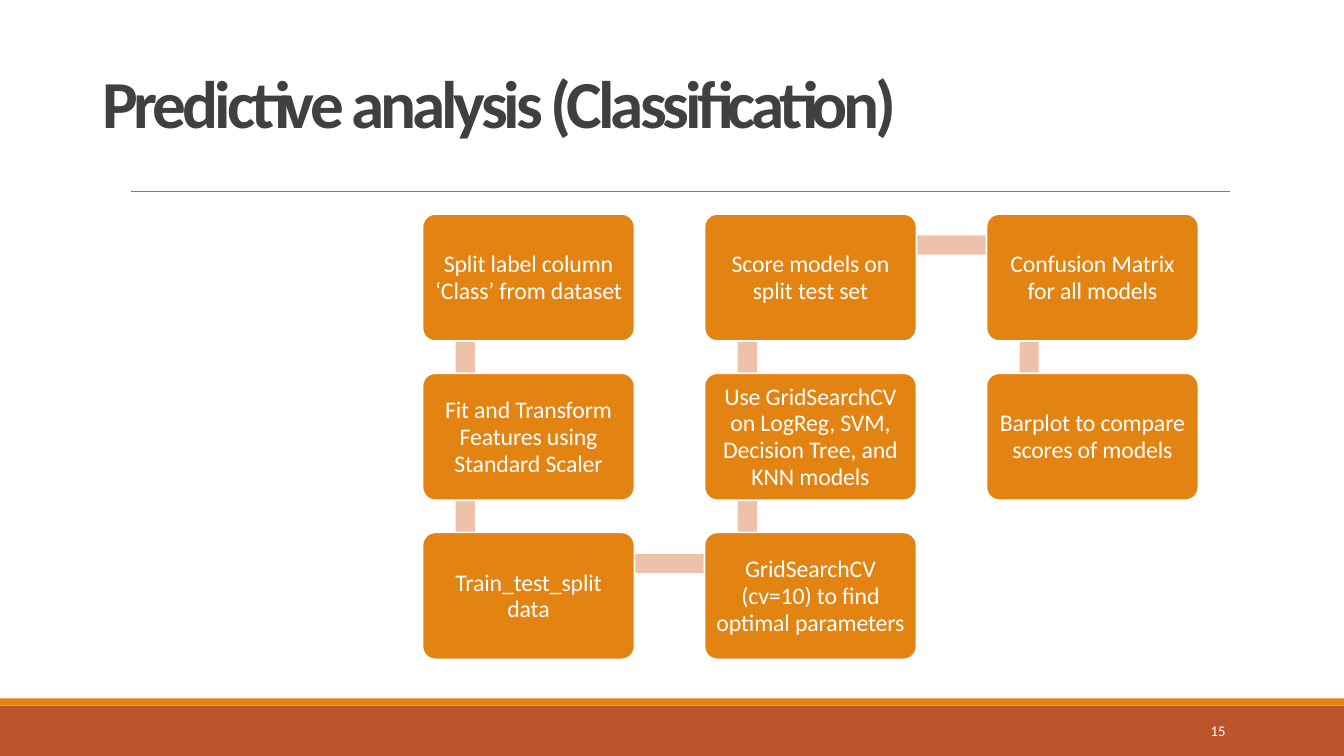
from dataclasses import dataclass

import lxml.etree
import pptx
import pptx.dml.color
import pptx.enum.shapes
import pptx.enum.text
import pptx.oxml.ns
import pptx.util

Pt = pptx.util.Pt
MSO_SHAPE = pptx.enum.shapes.MSO_SHAPE
ANCHOR = pptx.enum.text.MSO_ANCHOR
ALIGN = pptx.enum.text.PP_ALIGN

FONT = "Calibri"
WHITE, ORANGE, RUST, PEACH = "FFFFFF", "E28312", "BB562C", "EDC1AA"
DARK, GREY = "404040", "7D7D7D"

# Slide and grid measures in points
SLIDE_W, SLIDE_H = 960, 540
GRID_LEFT, GRID_TOP = 301.8, 152.9
COL_PITCH, ROW_PITCH = 201.4, 113.7
BOX_W, BOX_H = 151.4, 90.7
BAR = 13.7


@dataclass
class Step:
    col: int
    row: int
    text: str

    @property
    def left(self) -> float:
        return GRID_LEFT + self.col * COL_PITCH

    @property
    def top(self) -> float:
        return GRID_TOP + self.row * ROW_PITCH


# The flow snakes down, up and down again; \v breaks a line
STEPS = [
    Step(0, 0, "Split label column\v‘Class’ from dataset"),
    Step(0, 1, "Fit and Transform\vFeatures using\vStandard Scaler"),
    Step(0, 2, "Train_test_split\vdata"),
    Step(1, 2, "GridSearchCV\v(cv=10) to find\voptimal parameters"),
    Step(1, 1, "Use GridSearchCV\von LogReg, SVM,\vDecision Tree, and\vKNN models"),
    Step(1, 0, "Score models on\vsplit test set"),
    Step(2, 0, "Confusion Matrix\vfor all models"),
    Step(2, 1, "Barplot to compare\vscores of models"),
]


def rgb(color: str) -> pptx.dml.color.RGBColor:
    return pptx.dml.color.RGBColor.from_string(color)


def add_block(s, kind, left: float, top: float, width: float, height: float, color: str):
    sp = s.shapes.add_shape(kind, Pt(left), Pt(top), Pt(width), Pt(height))
    sp.shadow.inherit = False
    sp.fill.solid()
    sp.fill.fore_color.rgb = rgb(color)
    sp.line.fill.background()
    return sp


def set_text(sp, text: str, size: float, color: str, align, anchor,
             spacing: float = 0, leading: float = 0, bold: bool = False) -> None:
    tf = sp.text_frame
    tf.word_wrap = True
    tf.margin_left = tf.margin_right = tf.margin_top = tf.margin_bottom = 0
    tf.vertical_anchor = anchor
    p = tf.paragraphs[0]
    p.text = text
    p.alignment = align
    if leading:
        p.line_spacing = Pt(leading)
    for r in p.runs:
        r.font.name, r.font.size, r.font.bold = FONT, Pt(size), bold
        r.font.color.rgb = rgb(color)
        r.font._element.set("spc", str(round(spacing * 100)))


def add_bar(s, start: Step, end: Step) -> None:
    """Draw the band that links two neighbouring steps."""
    if start.row == end.row:
        add_block(s, MSO_SHAPE.RECTANGLE, start.left + 31, start.top + 15.3,
                  COL_PITCH, BAR, PEACH)
    else:
        add_block(s, MSO_SHAPE.RECTANGLE, start.left + 23.7,
                  min(start.top, end.top) + 22.8, BAR, ROW_PITCH - 1, PEACH)


def add_step(s, step: Step) -> None:
    sp = add_block(s, MSO_SHAPE.ROUNDED_RECTANGLE, step.left, step.top, BOX_W, BOX_H, ORANGE)
    sp.adjustments[0] = 0.1
    sp.line.color.rgb = rgb(WHITE)
    sp.line.width = Pt(1.2)
    set_text(sp, step.text, 17, WHITE, ALIGN.CENTER, ANCHOR.MIDDLE, -0.1, 19.2)


def main() -> None:
    prs = pptx.Presentation()
    prs.slide_width, prs.slide_height = Pt(SLIDE_W), Pt(SLIDE_H)
    s = prs.slides.add_slide(prs.slide_layouts[5])

    # Footer bands
    add_block(s, MSO_SHAPE.RECTANGLE, 0, 504, SLIDE_W, 36, RUST)
    add_block(s, MSO_SHAPE.RECTANGLE, 0, 498.8, SLIDE_W, 5.2, ORANGE)

    # Title and rule
    title = s.shapes.title
    title.left, title.top, title.width, title.height = Pt(73), Pt(43.5), Pt(623), Pt(60)
    set_text(title, "Predictive analysis (Classification)", 48, DARK,
             ALIGN.LEFT, ANCHOR.TOP, -2.9, bold=True)
    rule = s.shapes.add_connector(pptx.enum.shapes.MSO_CONNECTOR.STRAIGHT,
                                  Pt(93.9), Pt(136.6), Pt(878.4), Pt(136.6))
    rule.line.color.rgb = rgb(GREY)
    rule.line.width = Pt(0.48)
    lxml.etree.SubElement(rule._element.spPr, pptx.oxml.ns.qn("a:effectLst"))

    # Process steps, each above the bar to the next
    for step, following in zip(STEPS, STEPS[1:] + [None]):
        if following:
            add_bar(s, step, following)
        add_step(s, step)

    # Slide number
    number = s.shapes.add_textbox(Pt(864.8), Pt(517), Pt(14), Pt(12))
    set_text(number, "15", 10.5, WHITE, ALIGN.LEFT, ANCHOR.TOP, leading=11)

    prs.save("out.pptx")


if __name__ == "__main__":
    main()
